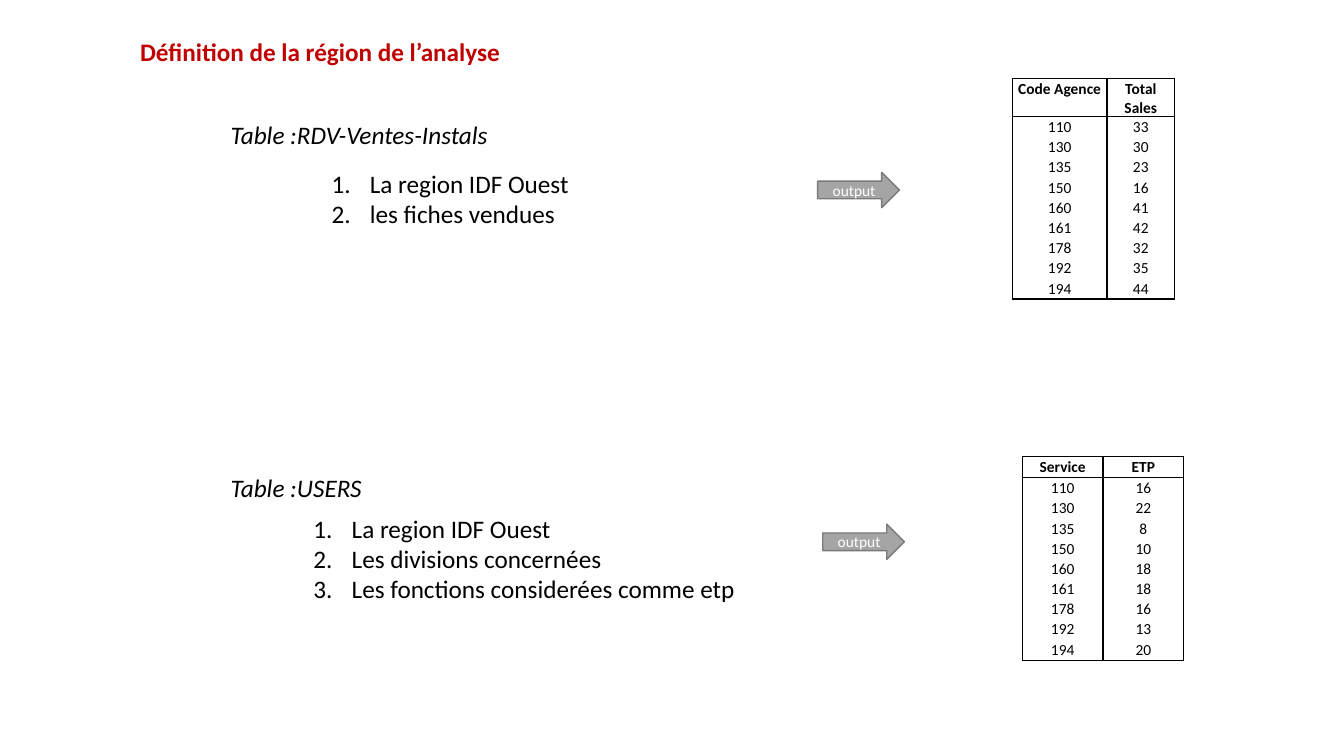
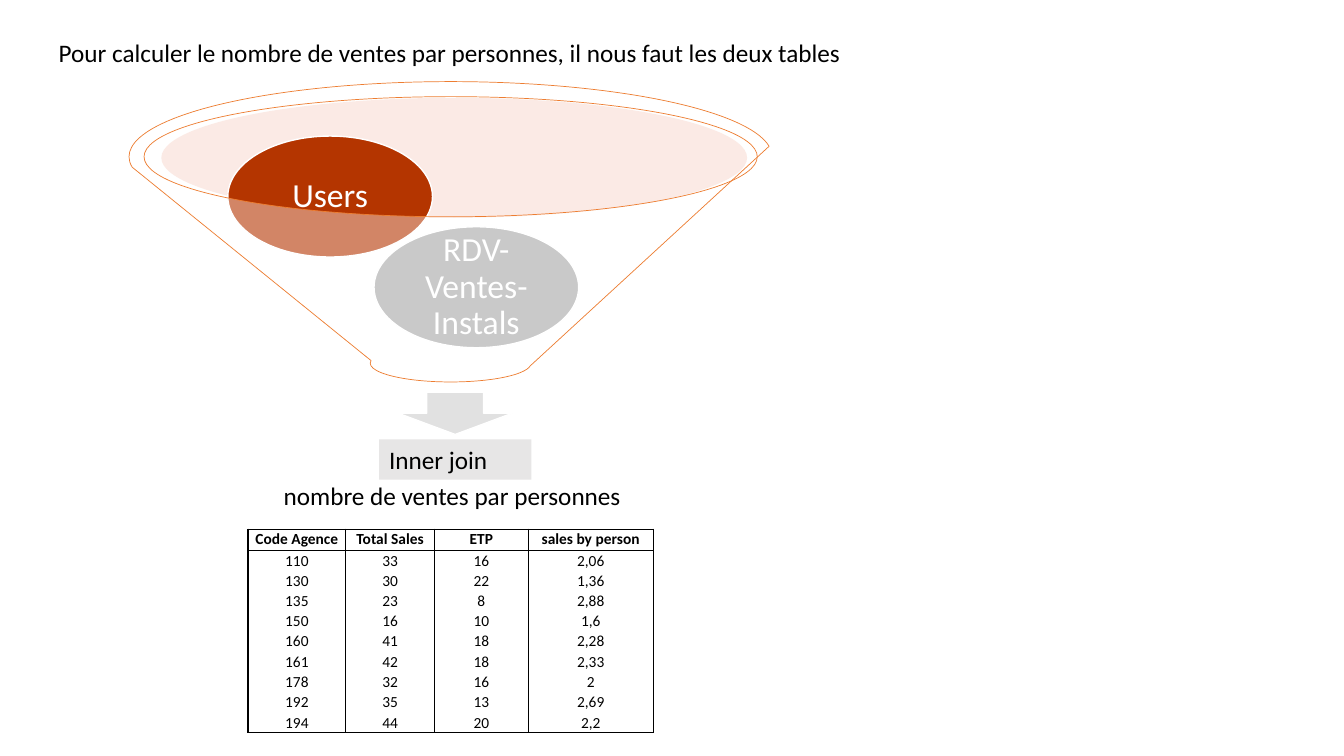
from dataclasses import dataclass

from lxml.etree import SubElement
from pptx import Presentation
from pptx.dml.color import RGBColor
from pptx.enum.shapes import MSO_SHAPE
from pptx.enum.text import MSO_ANCHOR, PP_ALIGN
from pptx.oxml.ns import qn
from pptx.util import Inches, Pt

COLORS = {
    "title": "C00000", "ink": "000000", "white": "FFFFFF", "gray": "A5A5A5",
    "gray_edge": "7A7A7A", "rust": "B43500", "blush": "F6CCBE",
    "funnel": "ED7D31", "pale": "E1E1E1", "label": "E7E6E6",
}
FONT = "Calibri"
PLAIN_TABLE = "{2D5ABB26-0587-4C30-8999-92F81FD0307C}"
AGENCIES = ["110", "130", "135", "150", "160", "161", "178", "192", "194"]
SALES = ["33", "30", "23", "16", "41", "42", "32", "35", "44"]
STAFF = ["16", "22", "8", "10", "18", "18", "16", "13", "20"]
RATIOS = ["2,06", "1,36", "2,88", "1,6", "2,28", "2,33", "2", "2,69", "2,2"]


@dataclass(frozen=True)
class Box:
    left: float
    top: float
    width: float
    height: float

    def emu(self) -> list:
        """Return the four lengths for python-pptx."""
        return [Inches(v) for v in (self.left, self.top, self.width, self.height)]


@dataclass(frozen=True)
class Column:
    heading: str
    width: float
    values: list


@dataclass(frozen=True)
class Source:
    name: str
    name_box: Box
    filters: list
    filters_box: Box
    arrow_box: Box
    table_left: float
    table_top: float
    columns: list


@dataclass(frozen=True)
class Ball:
    text: str
    box: Box
    fill: str


def write(frame, text, size=18, color="ink", bold=False, italic=False,
          align=PP_ALIGN.LEFT, anchor=MSO_ANCHOR.TOP, insets=(0.1, 0.05, 0.1, 0.05),
          spacing=None, numbered=False) -> None:
    """Fill a text frame, one paragraph per line of text."""
    frame.word_wrap = True
    frame.vertical_anchor = anchor
    (frame.margin_left, frame.margin_top,
     frame.margin_right, frame.margin_bottom) = map(Inches, insets)
    for index, line in enumerate(text.split("\n")):
        paragraph = frame.add_paragraph() if index else frame.paragraphs[0]
        paragraph.alignment = align
        if spacing:
            paragraph.line_spacing = spacing
        if numbered:
            properties = paragraph._p.get_or_add_pPr()
            properties.set("marL", str(Inches(0.38)))
            properties.set("indent", str(-Inches(0.38)))
            SubElement(properties, qn("a:buFont"), typeface="+mj-lt")
            SubElement(properties, qn("a:buAutoNum"), type="arabicPeriod")
        run = paragraph.add_run()
        run.text = line
        run.font.name, run.font.size = FONT, Pt(size)
        run.font.bold, run.font.italic = bold, italic
        run.font.color.rgb = RGBColor.from_string(COLORS[color])


def add_text(slide, box: Box, text: str, **style) -> None:
    """Add a text box."""
    write(slide.shapes.add_textbox(*box.emu()).text_frame, text, **style)


def add_painted(slide, kind, box: Box, fill: str = "", line: str = "",
                width: float = 1, opacity: int = 100):
    """Add a preset shape with its fill and outline, without a shadow."""
    shape = slide.shapes.add_shape(kind, *box.emu())
    shape.shadow.inherit = False
    if fill:
        shape.fill.solid()
        shape.fill.fore_color.rgb = RGBColor.from_string(COLORS[fill])
    else:
        shape.fill.background()
    if opacity < 100:
        tint = shape._element.spPr.find(qn("a:solidFill"))[0]
        SubElement(tint, qn("a:alpha"), val=str(opacity * 1000))
    if line:
        shape.line.color.rgb = RGBColor.from_string(COLORS[line])
        shape.line.width = Pt(width)
    else:
        shape.line.fill.background()
    return shape


def add_borders(cell, sides: str) -> None:
    """Draw black lines on the given sides of a cell and clear the others."""
    properties = cell._tc.get_or_add_tcPr()
    for side in "LRTB":
        edge = SubElement(properties, qn(f"a:ln{side}"), w=str(Pt(1)))
        if side in sides:
            fill = SubElement(edge, qn("a:solidFill"))
            SubElement(fill, qn("a:srgbClr"), val=COLORS["ink"])
        else:
            SubElement(edge, qn("a:noFill"))


def add_data_table(slide, left: float, top: float, columns: list) -> None:
    """Add a table with a boxed heading row and ruled columns."""
    last = len(columns[0].values)
    box = Box(left, top, sum(c.width for c in columns), 0.2 * last + 0.22)
    table = slide.shapes.add_table(last + 1, len(columns), *box.emu()).table
    table.first_row = table.horz_banding = False
    table._tbl.tblPr.find(qn("a:tableStyleId")).text = PLAIN_TABLE
    for index, row in enumerate(table.rows):
        row.height = Inches(0.21 if index in (0, last) else 0.2)
    for across, column in enumerate(columns):
        table.columns[across].width = Inches(column.width)
        for down, value in enumerate([column.heading, *column.values]):
            cell = table.cell(down, across)
            cell.margin_left = cell.margin_right = cell.margin_top = Inches(0.01)
            cell.margin_bottom = 0
            cell.vertical_anchor = MSO_ANCHOR.BOTTOM if down else MSO_ANCHOR.TOP
            add_borders(cell, "LR" + "T" * (down < 2) + "B" * (down in (0, last)))
            cell.fill.background()
            write(cell.text_frame, value, size=11, bold=not down, align=PP_ALIGN.CENTER)


def add_source(slide, source: Source) -> None:
    """Draw a source table's name, filters, arrow and output."""
    add_text(slide, source.name_box, source.name, italic=True)
    add_text(slide, source.filters_box, "\n".join(source.filters), numbered=True)
    add_data_table(slide, source.table_left, source.table_top, source.columns)
    arrow = add_painted(slide, MSO_SHAPE.RIGHT_ARROW, source.arrow_box, "gray",
                        line="gray_edge")
    write(arrow.text_frame, "output", size=11, color="white",
          align=PP_ALIGN.CENTER, anchor=MSO_ANCHOR.MIDDLE)


SOURCES = [
    Source("Table :RDV-Ventes-Instals", Box(2.19, 1.13, 3.34, 0.4),
           ["La region IDF Ouest", "les fiches vendues"],
           Box(3.19, 1.62, 3.28, 0.71), Box(8.11, 1.71, 0.81, 0.35), 10.04, 0.78,
           [Column("Code Agence", 0.94, AGENCIES), Column("Total Sales", 0.67, SALES)]),
    Source("Table :USERS", Box(2.19, 4.64, 3.34, 0.4),
           ["La region IDF Ouest", "Les divisions concernées",
            "Les fonctions considerées comme etp"],
           Box(3.01, 5.04, 4.52, 1.01), Box(8.16, 5.2, 0.81, 0.35), 10.14, 4.53,
           [Column("Service", 0.8, AGENCIES), Column("ETP", 0.8, STAFF)]),
]
BALLS = [
    Ball("RDV-Ventes-Instals", Box(3.71, 2.25, 2.03, 1.2), "gray"),
    Ball("Users", Box(2.26, 1.35, 2.03, 1.2), "rust"),
]
JOINED = [
    Column("Code Agence", 0.97, AGENCIES), Column("Total Sales", 0.88, SALES),
    Column("ETP", 0.93, STAFF), Column("sales by person", 1.24, RATIOS),
]


def build_region(slide) -> None:
    """Build the slide on the region under analysis."""
    add_text(slide, Box(1.29, 0.36, 4.88, 0.54), "Définition de la région de l’analyse",
             color="title", bold=True, insets=(0.1, 0, 0.1, 0))
    for source in SOURCES:
        add_source(slide, source)


def build_join(slide) -> None:
    """Build the slide that joins both tables through a funnel."""
    add_text(slide, Box(0.12, 0, 8.68, 0.72),
             "Pour calculer le nombre de ventes par personnes, il nous faut les deux tables",
             align=PP_ALIGN.CENTER, anchor=MSO_ANCHOR.BOTTOM, spacing=0.9)
    add_painted(slide, MSO_SHAPE.OVAL, Box(1.6, 0.97, 5.81, 1.19), "blush", opacity=40)
    add_painted(slide, MSO_SHAPE.DOWN_ARROW, Box(3.95, 3.89, 1.13, 0.42), "pale",
                line="white")
    outcome = add_painted(slide, MSO_SHAPE.RECTANGLE, Box(1.36, 4.54, 5.85, 0.8))
    write(outcome.text_frame, "nombre de ventes par personnes", align=PP_ALIGN.CENTER,
          anchor=MSO_ANCHOR.MIDDLE, insets=(0.59, 0.18, 0.19, 0.2), spacing=0.9)
    for ball in BALLS:
        oval = add_painted(slide, MSO_SHAPE.OVAL, ball.box, ball.fill, line="white")
        write(oval.text_frame, ball.text, size=24, color="white", align=PP_ALIGN.CENTER,
              anchor=MSO_ANCHOR.MIDDLE, insets=(0, 0, 0, 0), spacing=0.9)
    add_painted(slide, MSO_SHAPE.FUNNEL, Box(1.28, 0.81, 6.38, 2.98), "white",
                line="funnel", width=0.5, opacity=40)
    add_data_table(slide, 2.46, 5.25, JOINED)
    join = add_painted(slide, MSO_SHAPE.RECTANGLE, Box(3.76, 4.36, 1.51, 0.4), "label")
    write(join.text_frame, "Inner join")


def main() -> None:
    """Build and save the presentation."""
    deck = Presentation()
    deck.slide_width, deck.slide_height = Inches(13.33), Inches(7.5)
    for build in (build_region, build_join):
        build(deck.slides.add_slide(deck.slide_layouts[6]))
    deck.save("out.pptx")


main()
